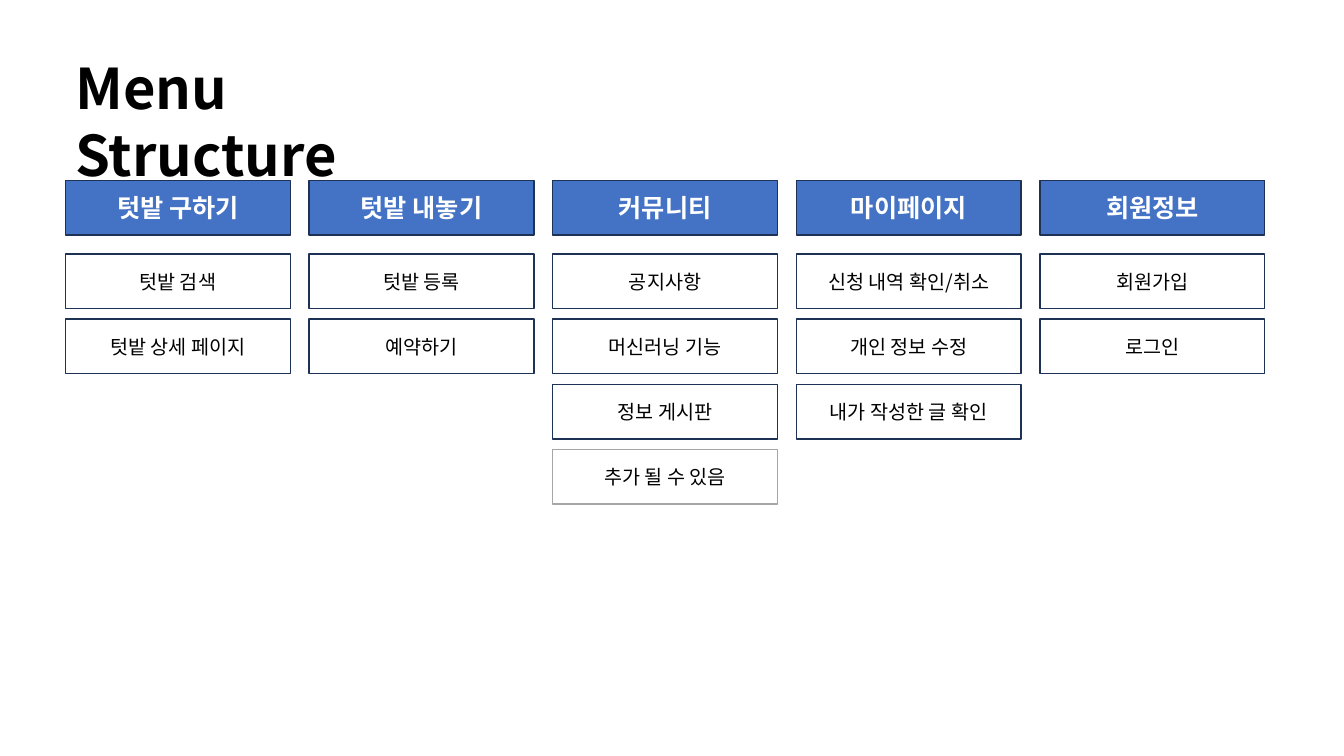
"""Build the menu structure slide: five menus, each with its pages below."""
import pptx
import pptx.dml.color
import pptx.enum.shapes
import pptx.enum.text
import pptx.util

Inches = pptx.util.Inches
RGBColor = pptx.dml.color.RGBColor

FONT = "Noto Sans CJK KR"
BLUE = RGBColor(0x44, 0x72, 0xC4)
NAVY = RGBColor(0x1E, 0x32, 0x56)
GREY = RGBColor(0xA6, 0xA6, 0xA6)
BLACK = RGBColor(0, 0, 0)
WHITE = RGBColor(255, 255, 255)

LEFT, COLUMN_STEP = 0.65, 2.417
MENU_TOP, PAGES_TOP, ROW_STEP = 1.79, 2.52, 0.647
BOX_WIDTH, BOX_HEIGHT = 2.23, 0.54

MENUS = {
    "텃밭 구하기": ["텃밭 검색", "텃밭 상세 페이지"],
    "텃밭 내놓기": ["텃밭 등록", "예약하기"],
    "커뮤니티": ["공지사항", "머신러닝 기능", "정보 게시판", "추가 될 수 있음"],
    "마이페이지": ["신청 내역 확인/취소", "개인 정보 수정", "내가 작성한 글 확인"],
    "회원정보": ["회원가입", "로그인"],
}
POSSIBLE_PAGE = "추가 될 수 있음"


def write(frame, text, size, color, bold, align):
    frame.text = text
    paragraph = frame.paragraphs[0]
    paragraph.alignment = align
    font = paragraph.font
    font.name, font.size, font.bold = FONT, pptx.util.Pt(size), bold
    font.color.rgb = color


def add_box(column, top, text, size, color, fill, outline, bold):
    box = slide.shapes.add_shape(
        pptx.enum.shapes.MSO_SHAPE.RECTANGLE,
        Inches(LEFT + column * COLUMN_STEP), Inches(top),
        Inches(BOX_WIDTH), Inches(BOX_HEIGHT))
    box.shadow.inherit = False
    box.fill.solid()
    box.fill.fore_color.rgb = fill
    box.line.color.rgb = outline
    box.line.width = pptx.util.Pt(1)
    box.text_frame.vertical_anchor = pptx.enum.text.MSO_ANCHOR.MIDDLE
    write(box.text_frame, text, size, color, bold, pptx.enum.text.PP_ALIGN.CENTER)


deck = pptx.Presentation()
deck.slide_width, deck.slide_height = Inches(13.333), Inches(7.5)
slide = deck.slides.add_slide(deck.slide_layouts.get_by_name("Title Only"))

heading = slide.shapes.title
heading.left, heading.top = Inches(LEFT), Inches(0.48)
heading.width, heading.height = Inches(4.37), Inches(0.77)
heading.text_frame.word_wrap = True
heading.text_frame.auto_size = pptx.enum.text.MSO_AUTO_SIZE.SHAPE_TO_FIT_TEXT
heading.text_frame.vertical_anchor = pptx.enum.text.MSO_ANCHOR.TOP
write(heading.text_frame, "Menu Structure", 40, BLACK, True,
      pptx.enum.text.PP_ALIGN.LEFT)

for column, (menu, pages) in enumerate(MENUS.items()):
    add_box(column, MENU_TOP, menu, 18, WHITE, BLUE, NAVY, True)
    for row, page in enumerate(pages):
        outline = GREY if page == POSSIBLE_PAGE else NAVY
        add_box(column, PAGES_TOP + row * ROW_STEP, page, 14, BLACK, WHITE,
                outline, False)

deck.save("out.pptx")
